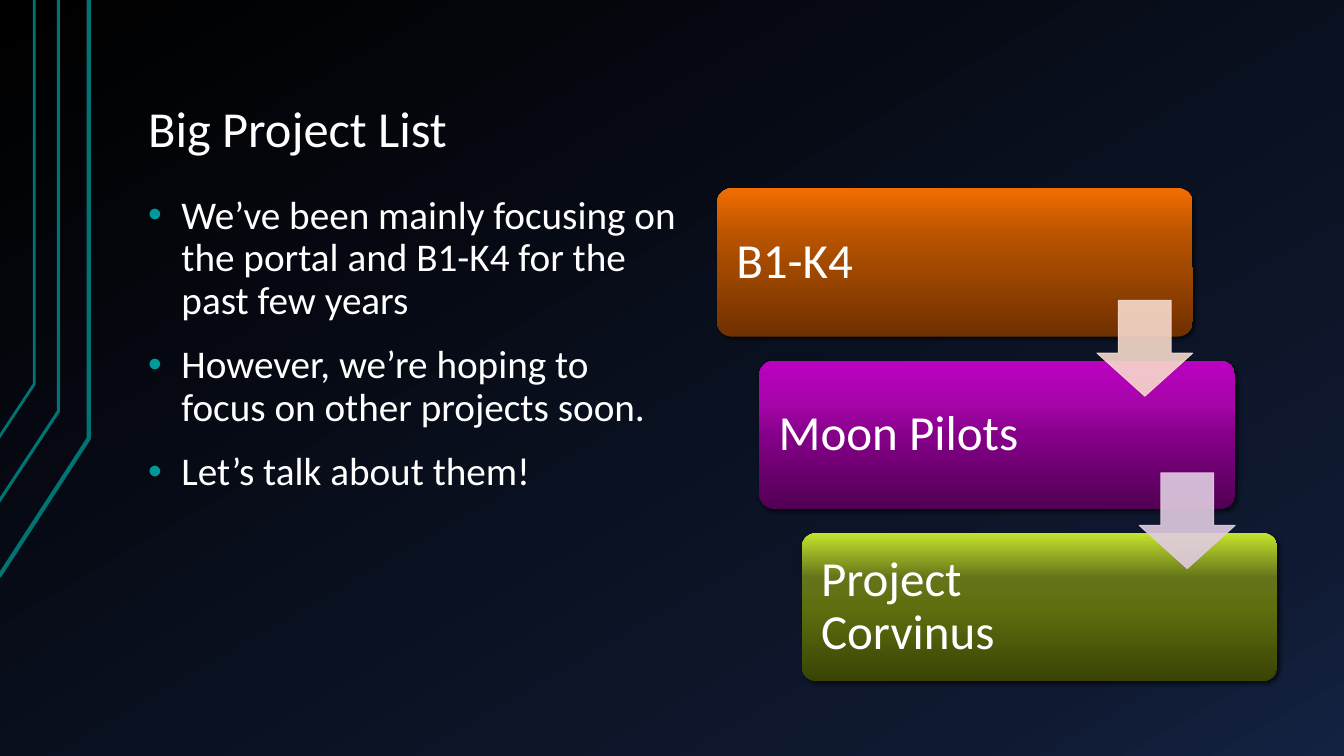
"""Builds the Big Project List slide with a staircase of three projects."""
from dataclasses import dataclass

import lxml.etree
import pptx
import pptx.dml.color
import pptx.enum.shapes
import pptx.enum.text
import pptx.oxml.ns
import pptx.util

Inches = pptx.util.Inches
Pt = pptx.util.Pt
qn = pptx.oxml.ns.qn
Stops = tuple[tuple[int, str], ...]
Box = tuple[float, float, float, float]


@dataclass(frozen=True)
class Theme:
    font: str = "Calibri"
    text: str = "FFFFFF"
    bullet: str = "009999"
    rail: str = "007373"
    shadow: str = "000000"
    background: Stops = ((0, "000000"), (85, "0F1931"), (100, "142242"))
    title_size: float = 36
    body_size: float = 28
    step_size: float = 35


@dataclass(frozen=True)
class Rail:
    points: tuple[tuple[float, float], ...]
    width: float


@dataclass(frozen=True)
class Step:
    label: str
    stops: Stops


THEME = Theme()
RAILS = (
    Rail(((-0.01, 5.72), (0.88, 4.35), (0.88, 0)), 3),
    Rail(((-0.02, 4.99), (0.58, 4.08), (0.58, 0)), 2.25),
    Rail(((-0.01, 4.34), (0.34, 3.81), (0.34, 0)), 2),
)
BULLETS = (
    "We’ve been mainly focusing on the portal and B1-K4 for the past few years",
    "However, we’re hoping to focus on other projects soon.",
    "Let’s talk about them!",
)
STEPS = (
    Step("B1-K4", ((0, "703000"), (50, "A44A00"), (70, "BC5500"), (100, "F26D00"))),
    Step("Moon Pilots", ((0, "520054"), (50, "850088"), (70, "A505A9"), (100, "BC00C0"))),
    Step("Project Corvinus", ((0, "394404"), (50, "5F6F0F"), (70, "65741A"), (100, "C4E32D"))),
)
ARROW_COLORS = ("F7DACC", "E0CCE1")
STEP_LEFT, STEP_TOP, STEP_WIDTH, STEP_HEIGHT = 7.11, 1.87, 4.72, 1.47
STEP_RIGHT_SHIFT, STEP_DOWN_SHIFT = 0.42, 1.71
ARROW_LEFT, ARROW_TOP, ARROW_SIZE = 10.88, 2.98, 0.95


def rgb(color: str) -> pptx.dml.color.RGBColor:
    return pptx.dml.color.RGBColor.from_string(color)


def add_node(parent, tag: str, **attributes):
    return lxml.etree.SubElement(
        parent, qn(tag), {name: str(value) for name, value in attributes.items()}
    )


def fill_gradient(owner, fill, stops: Stops, angle: int) -> None:
    fill.gradient()
    gradient = owner.element.find(".//" + qn("a:gradFill"))
    stop_list = gradient.find(qn("a:gsLst"))
    for old_stop in list(stop_list):
        stop_list.remove(old_stop)
    for position, color in stops:
        stop = add_node(stop_list, "a:gs", pos=position * 1000)
        add_node(stop, "a:srgbClr", val=color)
    gradient.find(qn("a:lin")).set("ang", str(angle * 60000))


def set_frame(frame, insets: Box, anchor) -> None:
    frame.word_wrap = True
    frame.vertical_anchor = anchor
    frame.margin_left, frame.margin_top, frame.margin_right, frame.margin_bottom = map(
        Inches, insets
    )


def add_text(paragraph, text: str, size: float) -> None:
    paragraph.alignment = pptx.enum.text.PP_ALIGN.LEFT
    paragraph.line_spacing = 0.9
    run = paragraph.add_run()
    run.text = text
    run.font.name = THEME.font
    run.font.size = Pt(size)
    run.font.color.rgb = rgb(THEME.text)


def add_bullet(paragraph) -> None:
    paragraph.space_before = Pt(16)
    properties = paragraph._p.get_or_add_pPr()
    properties.set("marL", str(Inches(0.33)))
    properties.set("indent", str(Inches(-0.33)))
    add_node(add_node(properties, "a:buClr"), "a:srgbClr", val=THEME.bullet)
    add_node(properties, "a:buFont", typeface="Arial")
    add_node(properties, "a:buChar", char="•")


def draw_rail(slide, rail: Rail) -> None:
    points = [(Inches(x), Inches(y)) for x, y in rail.points]
    builder = slide.shapes.build_freeform(*points[0])
    builder.add_line_segments(points[1:], close=False)
    shape = builder.convert_to_shape()
    shape.fill.background()
    shape.line.color.rgb = rgb(THEME.rail)
    shape.line.width = Pt(rail.width)
    shape.shadow.inherit = False


def draw_text_box(slide, box: Box, lines: tuple[str, ...], size: float, anchor, bulleted: bool) -> None:
    frame = slide.shapes.add_textbox(*map(Inches, box)).text_frame
    set_frame(frame, (0.14, 0.07, 0.16, 0.07), anchor)
    for index, line in enumerate(lines):
        paragraph = frame.add_paragraph() if index else frame.paragraphs[0]
        add_text(paragraph, line, size)
        if bulleted:
            add_bullet(paragraph)


def draw_step(slide, step: Step, index: int) -> None:
    shape = slide.shapes.add_shape(
        pptx.enum.shapes.MSO_SHAPE.ROUNDED_RECTANGLE,
        Inches(STEP_LEFT + index * STEP_RIGHT_SHIFT),
        Inches(STEP_TOP + index * STEP_DOWN_SHIFT),
        Inches(STEP_WIDTH),
        Inches(STEP_HEIGHT),
    )
    shape.adjustments[0] = 0.1
    fill_gradient(shape, shape.fill, step.stops, 270)
    shape.line.fill.background()
    shape.shadow.inherit = False
    shadow = add_node(
        shape.element.spPr.find(qn("a:effectLst")), "a:outerShdw",
        blurRad=Pt(3), dist=Pt(2), dir=45 * 60000, rotWithShape=0,
    )
    add_node(add_node(shadow, "a:srgbClr", val=THEME.shadow), "a:alpha", val=60000)
    set_frame(shape.text_frame, (0.15, 0.19, 1.56, 0.19), pptx.enum.text.MSO_ANCHOR.MIDDLE)
    add_text(shape.text_frame.paragraphs[0], step.label, THEME.step_size)


def draw_arrow(slide, color: str, index: int) -> None:
    shape = slide.shapes.add_shape(
        pptx.enum.shapes.MSO_SHAPE.DOWN_ARROW,
        Inches(ARROW_LEFT + index * STEP_RIGHT_SHIFT),
        Inches(ARROW_TOP + index * STEP_DOWN_SHIFT),
        Inches(ARROW_SIZE),
        Inches(ARROW_SIZE),
    )
    shape.adjustments[0], shape.adjustments[1] = 0.55, 0.45
    shape.fill.solid()
    shape.fill.fore_color.rgb = rgb(color)
    shape.line.color.rgb = rgb(color)
    shape.line.width = Pt(0.75)
    shape.shadow.inherit = False
    for color_node in shape.element.spPr.iter(qn("a:srgbClr")):
        add_node(color_node, "a:alpha", val=90000)


def main() -> None:
    presentation = pptx.Presentation()
    presentation.slide_width, presentation.slide_height = Inches(13.33), Inches(7.5)
    slide = presentation.slides.add_slide(presentation.slide_layouts[6])
    fill_gradient(slide, slide.background.fill, THEME.background, 60)
    for rail in RAILS:
        draw_rail(slide, rail)
    anchors = pptx.enum.text.MSO_ANCHOR
    draw_text_box(slide, (1.33, 0.3, 11.33, 1.34), ("Big Project List",),
                  THEME.title_size, anchors.BOTTOM, False)
    draw_text_box(slide, (1.33, 1.87, 5.55, 4.88), BULLETS, THEME.body_size, anchors.TOP, True)
    for index, step in enumerate(STEPS):
        draw_step(slide, step, index)
    for index, color in enumerate(ARROW_COLORS):
        draw_arrow(slide, color, index)
    presentation.save("out.pptx")


if __name__ == "__main__":
    main()
